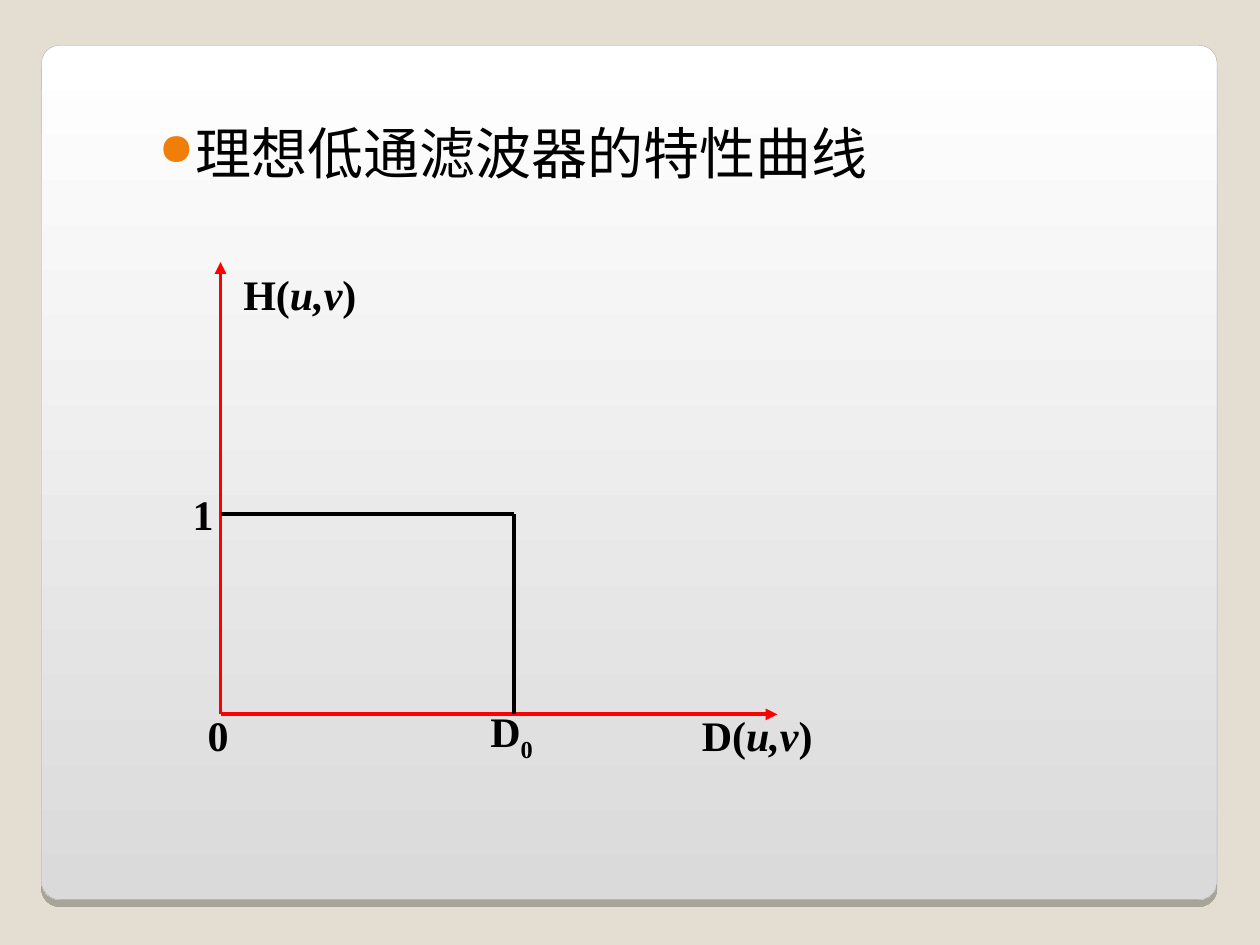
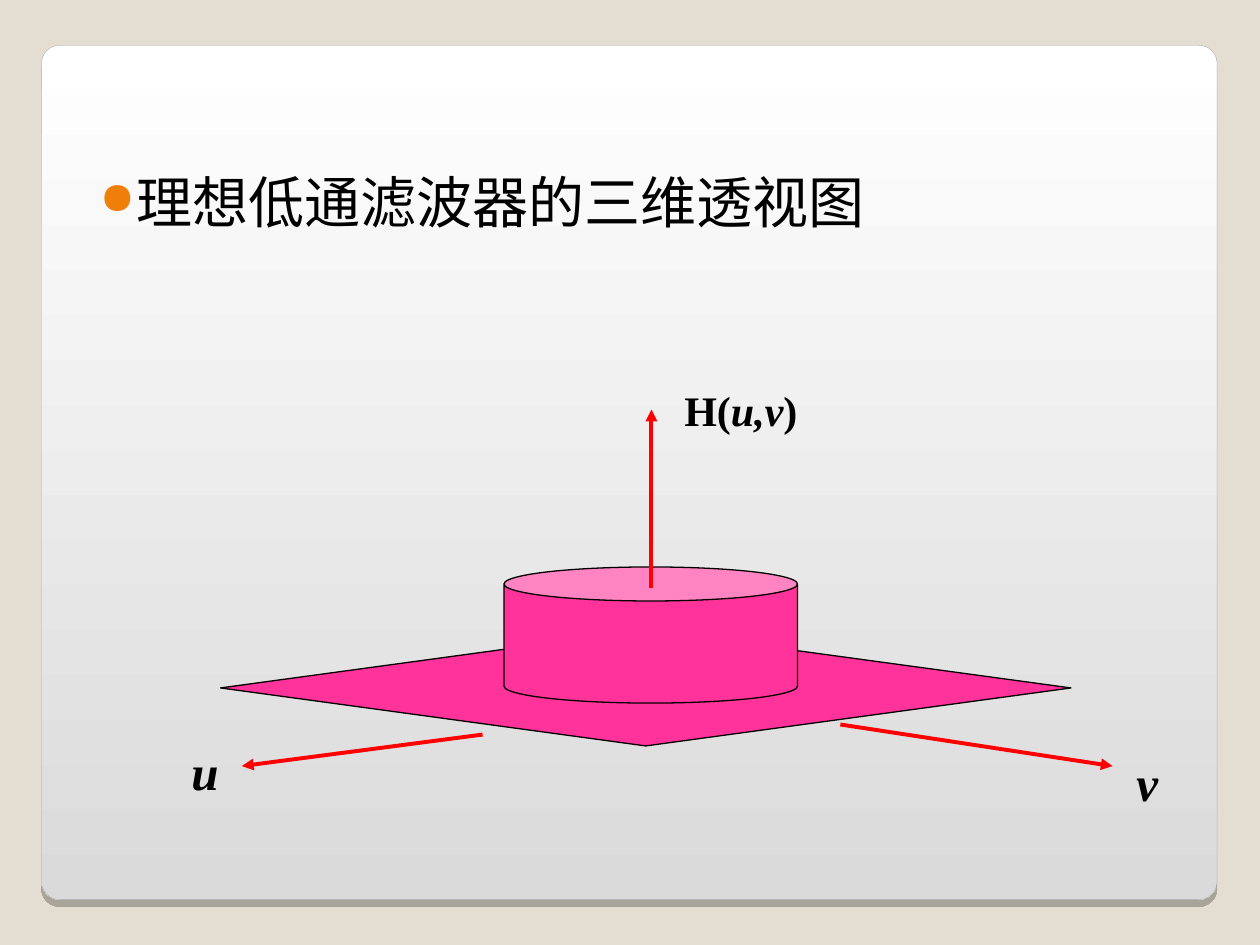
"""Build two slides on the ideal low-pass filter: its characteristic curve and its 3-D view."""
from dataclasses import dataclass

from lxml.etree import SubElement
from pptx import Presentation
from pptx.dml.color import RGBColor
from pptx.enum.shapes import MSO_CONNECTOR, MSO_SHAPE
from pptx.enum.text import MSO_ANCHOR, MSO_AUTO_SIZE, PP_ALIGN
from pptx.oxml import parse_xml
from pptx.oxml.ns import nsdecls, qn
from pptx.util import Inches, Pt


@dataclass(frozen=True)
class Theme:
    backdrop: RGBColor = RGBColor.from_string("E3DED1")
    panel_top: RGBColor = RGBColor.from_string("FFFFFF")
    panel_bottom: RGBColor = RGBColor.from_string("DADADA")
    panel_edge: RGBColor = RGBColor.from_string("A4A3A3")
    bullet: str = "F07F09"
    ink: RGBColor = RGBColor.from_string("000000")
    axis: RGBColor = RGBColor.from_string("FF0000")
    solid: RGBColor = RGBColor.from_string("FF3399")
    heading_font: str = "DejaVu Sans"
    label_font: str = "Times New Roman"
    heading_size: Pt = Pt(32)
    axis_size: Pt = Pt(28)
    label_size: Pt = Pt(24)
    stroke: Pt = Pt(2.25)
    outline: Pt = Pt(0.75)


theme = Theme()


def draw_line(slide, start, end, color, arrow):
    stroke = slide.shapes.add_connector(
        MSO_CONNECTOR.STRAIGHT, *(Inches(value) for value in (*start, *end)))
    stroke.line.color.rgb = color
    stroke.line.width = theme.stroke
    if arrow:
        SubElement(stroke.line._get_or_add_ln(), qn("a:tailEnd"), type="triangle")
    SubElement(stroke._element.spPr, qn("a:effectLst"))


def add_label(slide, box, pieces, size):
    label = slide.shapes.add_textbox(*(Inches(value) for value in box))
    frame = label.text_frame
    frame.word_wrap = False
    frame.auto_size = MSO_AUTO_SIZE.SHAPE_TO_FIT_TEXT
    frame.vertical_anchor = MSO_ANCHOR.MIDDLE
    paragraph = frame.paragraphs[0]
    paragraph.alignment = PP_ALIGN.CENTER
    for text, style in pieces:
        run = paragraph.add_run()
        run.text = text
        run.font.name = theme.label_font
        run.font.size = size
        run.font.bold = True
        run.font.italic = style == "italic"
        run.font.color.rgb = theme.ink
        if style == "subscript":
            run._r.get_or_add_rPr().set("baseline", "-25000")


deck = Presentation()
deck.slide_width, deck.slide_height = Inches(10), Inches(7.5)
blank = deck.slide_layouts[6]

headings = [
    ("理想低通滤波器的特性曲线", (1.06, 0.84, 7.98, 1.02)),
    ("理想低通滤波器的三维透视图", (0.59, 1.23, 8.34, 1.02)),
]
for heading_text, heading_box in headings:
    slide = deck.slides.add_slide(blank)
    slide.background.fill.solid()
    slide.background.fill.fore_color.rgb = theme.backdrop

    panel = slide.shapes.add_shape(
        MSO_SHAPE.ROUNDED_RECTANGLE, Inches(0.33), Inches(0.36), Inches(9.33), Inches(6.78))
    panel.adjustments[0] = 0.021
    panel.fill.gradient()
    panel.fill.gradient_angle = 270
    for stop, shade in zip(panel.fill.gradient_stops, (theme.panel_top, theme.panel_bottom)):
        stop.color.rgb = shade
    panel.line.color.rgb = theme.panel_edge
    panel.line.width = Pt(0.17)
    panel.shadow.inherit = False
    panel._element.spPr.find(qn("a:effectLst")).append(parse_xml(
        f'<a:outerShdw {nsdecls("a")} blurRad="0" dist="{Pt(4)}" dir="5400000" algn="t" '
        f'rotWithShape="0"><a:srgbClr val="{theme.ink}"><a:alpha val="25000"/></a:srgbClr>'
        '</a:outerShdw>'))

    heading = slide.shapes.add_textbox(*(Inches(value) for value in heading_box))
    frame = heading.text_frame
    frame.word_wrap = True
    frame.margin_left, frame.margin_top = Inches(0.2), Inches(0.1)
    paragraph = frame.paragraphs[0]
    paragraph.text = heading_text
    paragraph.space_before = Pt(2.5)
    properties = paragraph._p.get_or_add_pPr()
    properties.set("marL", str(Inches(0.29)))
    properties.set("indent", str(Inches(-0.29)))
    SubElement(SubElement(properties, qn("a:buClr")), qn("a:srgbClr"), val=theme.bullet)
    SubElement(properties, qn("a:buSzPct"), val="80000")
    SubElement(properties, qn("a:buChar"), char="●")
    run = paragraph.runs[0]
    run.font.name = theme.heading_font
    run.font.size = theme.heading_size
    run.font.color.rgb = theme.ink
    SubElement(run._r.get_or_add_rPr(), qn("a:ea"), typeface=theme.heading_font)

curve_slide, perspective_slide = deck.slides
response = [("H(", ""), ("u,v", "italic"), (")", "")]
distance = [("D(", ""), ("u,v", "italic"), (")", "")]

origin_x, origin_y = 1.75, 5.67
cutoff_x, passband_y = 4.08, 4.08
origin = (origin_x, origin_y)
corner = (cutoff_x, passband_y)
for axis_end in ((6.17, origin_y), (origin_x, 2.08)):
    draw_line(curve_slide, origin, axis_end, theme.axis, arrow=True)
for edge_end in ((origin_x, passband_y), (cutoff_x, origin_y)):
    draw_line(curve_slide, edge_end, corner, theme.ink, arrow=False)

curve_labels = [
    ((1.55, 5.58, 0.36, 0.5), [("0", "")]),
    ((3.79, 5.55, 0.54, 0.56), [("D", ""), ("0", "subscript")]),
    ((5.47, 5.58, 1.08, 0.5), distance),
    ((1.83, 2.08, 1.1, 0.5), response),
    ((1.43, 3.83, 0.36, 0.5), [("1", "")]),
]
for box, pieces in curve_labels:
    add_label(curve_slide, box, pieces, theme.label_size)

filter_solids = [
    (MSO_SHAPE.DIAMOND, (1.75, 5, 6.75, 0.92)),
    (MSO_SHAPE.CAN, (4, 4.5, 2.33, 1.08)),
]
for preset, box in filter_solids:
    solid = perspective_slide.shapes.add_shape(preset, *(Inches(value) for value in box))
    solid.fill.solid()
    solid.fill.fore_color.rgb = theme.solid
    solid.line.color.rgb = theme.ink
    solid.line.width = theme.outline
    solid.shadow.inherit = False

perspective_axes = [
    ((5.17, 4.67), (5.17, 3.25)),
    ((6.67, 5.75), (8.83, 6.08)),
    ((3.83, 5.83), (1.92, 6.08)),
]
for start, end in perspective_axes:
    draw_line(perspective_slide, start, end, theme.axis, arrow=True)

perspective_labels = [
    ((8.92, 5.92, 0.37, 0.57), [("v", "italic")], theme.axis_size),
    ((1.42, 5.83, 0.41, 0.57), [("u", "italic")], theme.axis_size),
    ((5.33, 3, 1.1, 0.5), response, theme.label_size),
]
for box, pieces, size in perspective_labels:
    add_label(perspective_slide, box, pieces, size)

deck.save("out.pptx")
